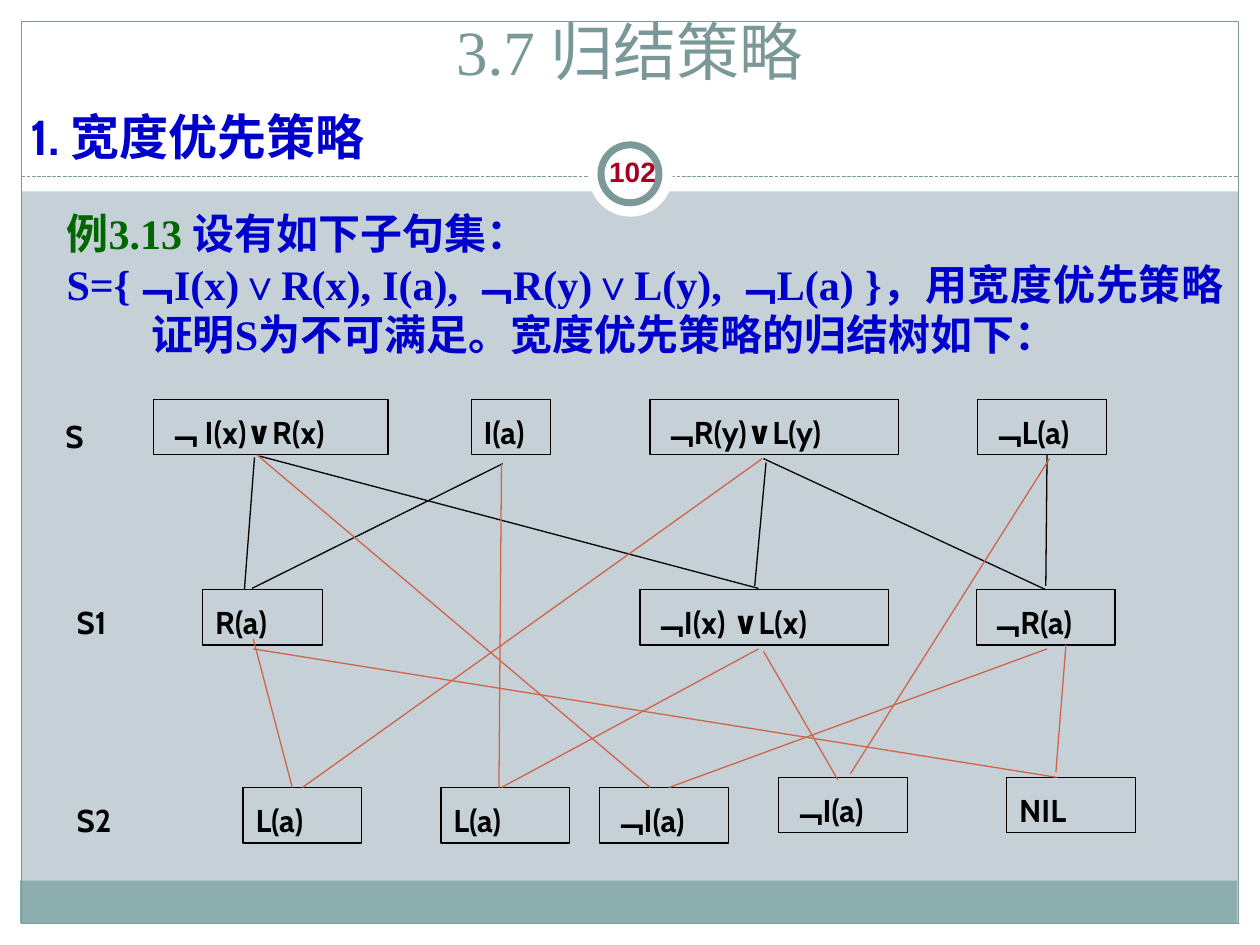
from dataclasses import dataclass
from typing import Any, Optional

from lxml import etree
from pptx import Presentation
from pptx.dml.color import RGBColor
from pptx.enum.dml import MSO_LINE
from pptx.enum.shapes import MSO_CONNECTOR, MSO_SHAPE
from pptx.enum.text import MSO_ANCHOR, MSO_AUTO_SIZE, PP_ALIGN
from pptx.oxml.ns import qn
from pptx.util import Pt

PX = 9144
RECTANGLE, OVAL = MSO_SHAPE.RECTANGLE, MSO_SHAPE.OVAL
STRAIGHT = MSO_CONNECTOR.STRAIGHT
SYSTEM_DASH = MSO_LINE.SQUARE_DOT
CENTER, JUSTIFY, LEFT = PP_ALIGN.CENTER, PP_ALIGN.JUSTIFY, PP_ALIGN.LEFT
TOP, MIDDLE, BOTTOM = MSO_ANCHOR.TOP, MSO_ANCHOR.MIDDLE, MSO_ANCHOR.BOTTOM
NO_AUTOFIT = MSO_AUTO_SIZE.NONE
TOP_SIDE = 0

WHITE = RGBColor(0xFF, 0xFF, 0xFF)
BLACK = RGBColor(0, 0, 0)
PALE = RGBColor(0xC5, 0xD1, 0xD7)
TEAL = RGBColor(0x8C, 0xAD, 0xAE)
FRAME = RGBColor(0x7C, 0x99, 0x9A)
TITLE = RGBColor(0x7B, 0x98, 0x99)
BLUE = RGBColor(0, 0, 0xCC)
GREEN = RGBColor(0, 0x66, 0)
CRIMSON = RGBColor(0xA5, 0, 0x21)
ORANGE = RGBColor(0xD1, 0x63, 0x49)

SERIF = {"name": "Times New Roman", "size": Pt(24), "bold": True}
CLAUSE = {"name": "Cabin", "size": Pt(18), "bold": True}
HEADING = {"name": "Cabin", "size": Pt(28), "bold": True}
NUMBER = {"name": "Arial", "size": Pt(16), "bold": True}
HEADLINE = {"name": "Times New Roman", "size": Pt(36), "bold": False}
CLAUSE_HEIGHT = 44
HANGING = 67


@dataclass(frozen=True)
class Panel:
    left: int
    top: int
    width: int
    height: int
    fill: Optional[RGBColor] = None
    line: Optional[RGBColor] = None
    weight: float = 0.75
    kind: Any = RECTANGLE


@dataclass(frozen=True)
class Clause:
    text: str
    left: int
    top: int
    width: int


@dataclass(frozen=True)
class Edge:
    start: tuple[int, int]
    end: tuple[int, int]
    color: RGBColor
    target: Optional[str] = None


PANELS = [
    Panel(0, 733, 1000, 17, WHITE),
    Panel(0, 0, 1000, 152, WHITE),
    Panel(0, 0, 17, 750, WHITE),
    Panel(983, 0, 17, 750, WHITE),
    Panel(16, 699, 966, 34, TEAL),
    Panel(17, 17, 966, 716, None, FRAME),
]
BADGE = [
    Panel(467, 105, 67, 67, WHITE, kind=OVAL),
    Panel(477, 115, 46, 46, WHITE, FRAME, 4, OVAL),
]
CLAUSES = [
    Clause("﹁ I(x)∨R(x)", 122, 317, 186),
    Clause("I(a)", 374, 317, 63),
    Clause("﹁R(y)∨L(y)", 516, 317, 197),
    Clause("﹁L(a)", 776, 317, 102),
    Clause("R(a)", 161, 468, 95),
    Clause("﹁I(x) ∨L(x)", 508, 468, 197),
    Clause("﹁R(a)", 775, 468, 110),
    Clause("L(a)", 193, 625, 94),
    Clause("L(a)", 350, 625, 102),
    Clause("﹁I(a)", 476, 625, 102),
    Clause("﹁I(a)", 618, 617, 102),
    Clause("NIL", 799, 617, 102),
]
LEVELS = [
    Clause("S", 42, 320, 63),
    Clause("S1", 51, 468, 63),
    Clause("S2", 51, 625, 71),
]
EDGES = [
    Edge((202, 363), (194, 468), BLACK),
    Edge((399, 368), (200, 467), BLACK),
    Edge((206, 362), (602, 467), BLACK),
    Edge((608, 367), (599, 465), BLACK),
    Edge((606, 364), (830, 468), BLACK, "﹁R(a)"),
    Edge((831, 361), (830, 465), BLACK),
    Edge((201, 507), (232, 625), ORANGE),
    Edge((605, 364), (240, 625), ORANGE),
    Edge((398, 368), (396, 625), ORANGE),
    Edge((602, 515), (398, 625), ORANGE),
    Edge((204, 361), (516, 625), ORANGE),
    Edge((831, 515), (531, 625), ORANGE),
    Edge((606, 517), (665, 619), ORANGE),
    Edge((201, 515), (839, 617), ORANGE),
    Edge((846, 512), (838, 613), ORANGE),
    Edge((833, 364), (675, 614), ORANGE),
]
EXAMPLE = [
    [("例3.13 ", GREEN), ("设有如下子句集：", BLUE)],
    [("S={﹁I(x)∨R(x), I(a), ﹁R(y)∨L(y), ﹁L(a) }，用宽度优先"
      "策略证明S为不可满足。宽度优先策略的归结树如下：", BLUE)],
]


def apply_format(target: Any, values: dict[str, Any]) -> None:
    for name, value in values.items():
        setattr(target, name, value)


def add_run(paragraph: Any, text: str, font: dict[str, Any], color: RGBColor) -> None:
    run = paragraph.add_run()
    run.text = text
    apply_format(run.font, font)
    run.font.color.rgb = color


def write_line(shape: Any, text: str, font: dict[str, Any], color: RGBColor,
               anchor: Any = TOP, **layout: Any) -> None:
    frame = shape.text_frame
    apply_format(frame, {"word_wrap": True, "auto_size": NO_AUTOFIT,
                         "vertical_anchor": anchor})
    paragraph = frame.paragraphs[0]
    apply_format(paragraph, layout)
    add_run(paragraph, text, font, color)


def add_text_box(slide: Any, *box: int) -> Any:
    return slide.shapes.add_textbox(*(value * PX for value in box))


def add_panel(slide: Any, panel: Panel) -> Any:
    box = (panel.left, panel.top, panel.width, panel.height)
    shape = slide.shapes.add_shape(panel.kind, *(value * PX for value in box))
    shape.shadow.inherit = False
    if panel.fill is None:
        shape.fill.background()
    else:
        shape.fill.solid()
        shape.fill.fore_color.rgb = panel.fill
    if panel.line is None:
        shape.line.fill.background()
    else:
        shape.line.color.rgb = panel.line
        shape.line.width = Pt(panel.weight)
    return shape


def add_clause(slide: Any, clause: Clause) -> Any:
    shape = add_panel(slide, Panel(clause.left, clause.top, clause.width,
                                   CLAUSE_HEIGHT, None, BLACK))
    write_line(shape, clause.text, CLAUSE, BLACK, alignment=LEFT, line_spacing=1.2)
    return shape


def add_edge(slide: Any, edge: Edge) -> Any:
    points = (*edge.start, *edge.end)
    connector = slide.shapes.add_connector(STRAIGHT, *(value * PX for value in points))
    connector.line.color.rgb = edge.color
    connector.line.width = Pt(0.75)
    etree.SubElement(connector._element.spPr, qn("a:effectLst"))
    return connector


def add_example(slide: Any) -> None:
    frame = add_text_box(slide, 43, 160, 938, 131).text_frame
    frame.word_wrap = True
    for index, runs in enumerate(EXAMPLE):
        paragraph = frame.add_paragraph() if index else frame.paragraphs[0]
        paragraph.alignment = JUSTIFY
        properties = paragraph._p.get_or_add_pPr()
        properties.set("marL", str(HANGING * PX))
        properties.set("indent", str(-HANGING * PX))
        for text, color in runs:
            add_run(paragraph, text, SERIF, color)


def main() -> None:
    presentation = Presentation()
    apply_format(presentation, {"slide_width": 1000 * PX, "slide_height": 750 * PX})
    slide = presentation.slides.add_slide(presentation.slide_layouts[5])
    slide.background.fill.solid()
    slide.background.fill.fore_color.rgb = PALE

    for panel in PANELS:
        add_panel(slide, panel)
    divider = add_edge(slide, Edge((17, 140), (983, 140), FRAME))
    divider.line.dash_style = SYSTEM_DASH
    ring = [add_panel(slide, panel) for panel in BADGE][-1]

    title = slide.shapes.title
    apply_format(title, {"left": 33 * PX, "top": -8 * PX,
                         "width": 933 * PX, "height": 83 * PX})
    write_line(title, "3.7 归结策略", HEADLINE, TITLE, BOTTOM, alignment=CENTER)
    ring._element.addnext(title._element)

    number = add_text_box(slide, 477, 112, 50, 48)
    write_line(number, "102", NUMBER, CRIMSON, MIDDLE, alignment=CENTER)
    apply_format(number.text_frame, {f"margin_{side}": 5 * PX for side in
                                     ("left", "top", "right", "bottom")})
    add_example(slide)

    boxes = {clause.text: add_clause(slide, clause) for clause in CLAUSES}
    for edge in EDGES:
        connector = add_edge(slide, edge)
        if edge.target:
            connector.end_connect(boxes[edge.target], TOP_SIDE)
    for level in LEVELS:
        label = add_text_box(slide, level.left, level.top, level.width, 43)
        write_line(label, level.text, CLAUSE, BLACK, line_spacing=1.2)
    heading = add_text_box(slide, 14, 70, 619, 66)
    write_line(heading, "1. 宽度优先策略", HEADING, BLUE, line_spacing=1.2)
    presentation.save("out.pptx")


if __name__ == "__main__":
    main()
